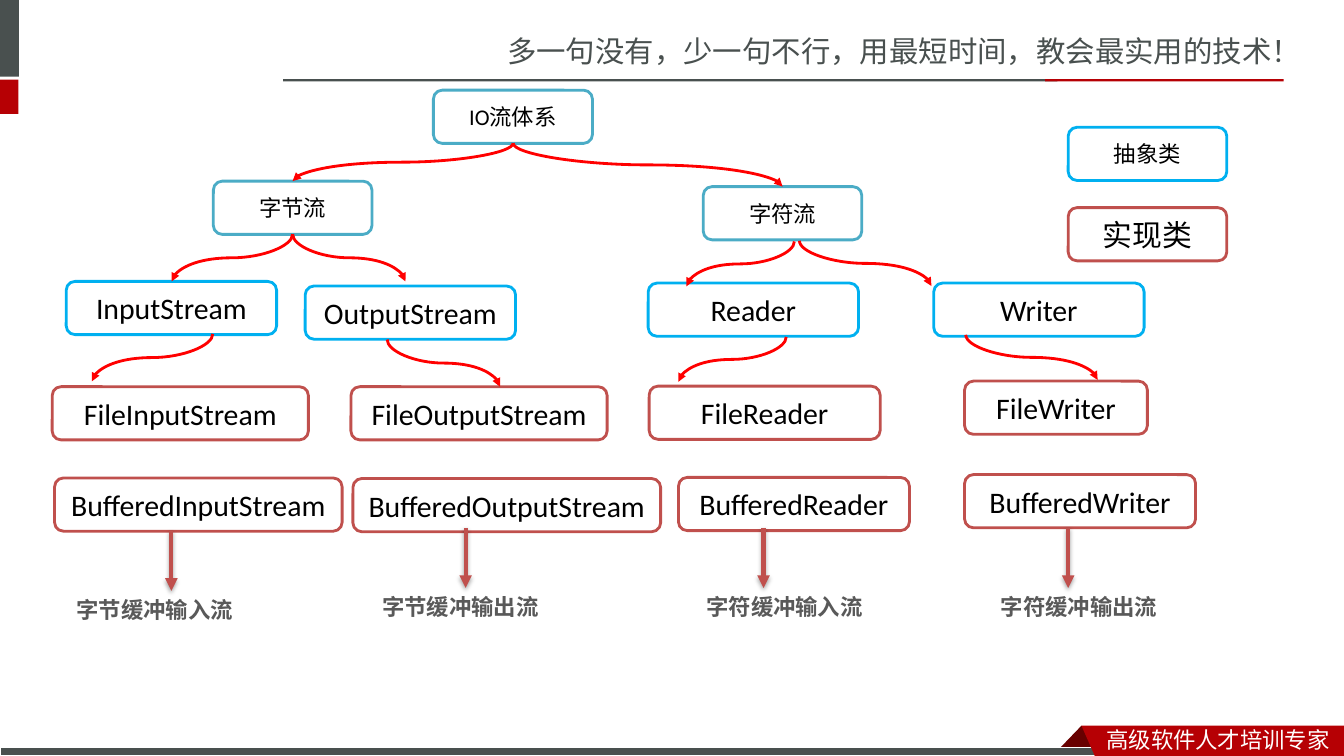
from lxml.etree import SubElement
from pptx import Presentation
from pptx.dml.color import RGBColor
from pptx.enum.shapes import MSO_CONNECTOR, MSO_SHAPE
from pptx.enum.text import MSO_ANCHOR, PP_ALIGN
from pptx.oxml.ns import qn
from pptx.util import Pt

GREY = RGBColor(0x49, 0x50, 0x4F)
CRIMSON = RGBColor(0xB6, 0x00, 0x04)
MAROON = RGBColor(0x68, 0x00, 0x00)
WHITE = RGBColor(0xFF, 0xFF, 0xFF)
BLACK = RGBColor(0x00, 0x00, 0x00)
TEAL = RGBColor(0x4B, 0xAC, 0xC6)
SKY = RGBColor(0x00, 0xB0, 0xF0)
BRICK = RGBColor(0xC0, 0x50, 0x4D)
RED = RGBColor(0xFF, 0x00, 0x00)
NOTE_GREY = RGBColor(0x59, 0x59, 0x59)

LATIN = "Calibri"
CHINESE = "Noto Sans CJK SC"
CHINESE_BOLD = "Noto Sans CJK JP"
SMALL, LARGE = 16, 21.3
BOX_HEIGHT = 38


def write(frame, text, size=SMALL, color=BLACK, latin=LATIN, asian=CHINESE,
          bold=False, align=PP_ALIGN.LEFT, anchor=MSO_ANCHOR.TOP, inset=7.2):
    frame.word_wrap = True
    frame.vertical_anchor = anchor
    frame.margin_left, frame.margin_right = Pt(inset), Pt(0)
    frame.margin_top = frame.margin_bottom = Pt(3.6)
    para = frame.paragraphs[0]
    para.alignment = align
    span = para.add_run()
    span.text = text
    span.font.size = Pt(size)
    span.font.bold = bold
    span.font.name = latin
    span.font.color.rgb = color
    SubElement(span.font._element, qn("a:ea"), typeface=asian)


class Page:
    def __init__(self, deck):
        self.slide = deck.slides.add_slide(deck.slide_layouts[5])
        self.shapes = self.slide.shapes

    def title(self, text, left, top, width, height, **style):
        title = self.shapes.title
        title.left, title.top = Pt(left), Pt(top)
        title.width, title.height = Pt(width), Pt(height)
        write(title.text_frame, text, **style)

    def paint(self, shape, fill, line=None, weight=2):
        shape.shadow.inherit = False
        shape.fill.solid()
        shape.fill.fore_color.rgb = fill
        if line is None:
            shape.line.fill.background()
        else:
            shape.line.color.rgb = line
            shape.line.width = Pt(weight)

    def bar(self, left, top, width, height, fill, **outline):
        bar = self.shapes.add_shape(MSO_SHAPE.RECTANGLE, Pt(left), Pt(top),
                                    Pt(width), Pt(height))
        self.paint(bar, fill, **outline)

    def polygon(self, points, fill):
        start, *rest = [(Pt(x), Pt(y)) for x, y in points]
        builder = self.shapes.build_freeform(*start)
        builder.add_line_segments(rest, close=True)
        self.paint(builder.convert_to_shape(), fill)

    def box(self, text, left, top, width, line, size=LARGE):
        box = self.shapes.add_shape(MSO_SHAPE.ROUNDED_RECTANGLE, Pt(left), Pt(top),
                                    Pt(width), Pt(BOX_HEIGHT))
        self.paint(box, WHITE, line)
        write(box.text_frame, text, size=size, align=PP_ALIGN.CENTER,
              anchor=MSO_ANCHOR.MIDDLE, inset=0)

    def label(self, text, left, top, width, height, **style):
        label = self.shapes.add_textbox(Pt(left), Pt(top), Pt(width), Pt(height))
        write(label.text_frame, text, **style)

    def connector(self, kind, x1, y1, x2, y2, color, weight):
        connector = self.shapes.add_connector(kind, Pt(x1), Pt(y1), Pt(x2), Pt(y2))
        connector.line.color.rgb = color
        connector.line.width = Pt(weight)
        SubElement(connector.line._get_or_add_ln(), qn("a:tailEnd"), type="triangle")
        properties = connector._element.spPr
        return properties, SubElement(properties, qn("a:effectLst"))

    def curve(self, x1, y1, x2, y2):
        """A curve that leaves and arrives vertically: a turned horizontal one."""
        middle_x, middle_y = (x1 + x2) / 2, (y1 + y2) / 2
        half_width, half_height = (y2 - y1) / 2, abs(x2 - x1) / 2
        side = 1 if x2 > x1 else -1
        properties, _ = self.connector(
            MSO_CONNECTOR.CURVE,
            middle_x + side * half_width, middle_y - half_height,
            middle_x - side * half_width, middle_y + half_height, RED, 2)
        turn = 270 if side > 0 else 90
        properties.get_or_add_xfrm().set("rot", str(turn * 60000))

    def down_arrow(self, x, top, bottom):
        _, effects = self.connector(MSO_CONNECTOR.STRAIGHT, x, top, x, bottom, BRICK, 3)
        shadow = SubElement(effects, qn("a:outerShdw"), blurRad=str(Pt(3.1)),
                            dist=str(Pt(1.8)), dir="5400000", rotWithShape="0")
        black = SubElement(shadow, qn("a:srgbClr"), val="000000")
        SubElement(black, qn("a:alpha"), val="35000")


deck = Presentation()
deck.slide_width, deck.slide_height = Pt(960), Pt(540)
page = Page(deck)

# Header
page.title("多一句没有，少一句不行，用最短时间，教会最实用的技术！", 355, 20, 605, 34,
           size=21, color=GREY, latin=CHINESE)
page.bar(0, 0, 13.5, 54.7, GREY)
page.bar(0, 56.9, 13.2, 24.5, CRIMSON)
page.bar(202.3, 56.6, 553, 1.6, GREY)
page.bar(746.6, 56.6, 170.4, 1.6, CRIMSON)

# Footer ribbon
page.polygon([(772.5, 518.4), (788.4, 534.5), (757, 534.5)], MAROON)
page.bar(0, 533.7, 791, 6.3, GREY, line=WHITE, weight=0.75)
page.polygon([(772.5, 518.4), (960, 518.4), (960, 540), (782, 540)], CRIMSON)
page.label("高级软件人才培训专家", 783.2, 515, 176.8, 26.6, color=WHITE, latin=CHINESE)

# Root, stream kinds and legend
page.box("IO流体系", 309.6, 64.4, 113.6, TEAL, SMALL)
page.box("字节流", 152.4, 129.4, 113.3, TEAL, SMALL)
page.box("字符流", 502.3, 133.3, 113.3, TEAL, SMALL)
page.box("抽象类", 763, 90.9, 113.3, SKY, SMALL)
page.box("实现类", 763, 148.3, 113.3, BRICK)

# Abstract classes
for name, left, top in [("InputStream", 47.3, 201), ("OutputStream", 218, 204.3),
                        ("Reader", 463, 202.2), ("Writer", 667, 202.2)]:
    page.box(name, left, top, 150.3, SKY)

# Implementing classes
for name, left, top, width in [
        ("FileInputStream", 37.3, 276.2, 183), ("FileOutputStream", 250.7, 276.2, 183),
        ("FileReader", 463.7, 275.8, 165), ("FileWriter", 689, 272.2, 130.6),
        ("BufferedInputStream", 39, 341.4, 205.4),
        ("BufferedOutputStream", 252.1, 341.8, 219.8),
        ("BufferedReader", 484.6, 341, 165), ("BufferedWriter", 689, 339, 165)]:
    page.box(name, left, top, width, BRICK)

# Inheritance curves
for ends in [(366.5, 102.3, 209, 129.4), (366.5, 102.3, 559, 133.3),
             (209, 167.3, 122.6, 201), (209, 167.3, 289.6, 201),
             (567.4, 172.5, 490.3, 204.6), (571, 172, 665.3, 204.3),
             (152, 238.5, 65.6, 272.4), (276.5, 242.5, 357.1, 276.2),
             (561.6, 240.7, 484.5, 272.8), (689.8, 239.2, 784, 271.4)]:
    page.curve(*ends)

# Buffered stream notes
for note, left, top, arrow_x, arrow_top in [
        ("字节缓冲输入流", 47.5, 422, 122.4, 379), ("字节缓冲输出流", 265.9, 420, 332.6, 377),
        ("字符缓冲输入流", 497.5, 420, 545.4, 377), ("字符缓冲输出流", 707.8, 420.4, 763, 377)]:
    page.label(note, left, top, 151, 26.6, color=NOTE_GREY, bold=True,
               latin=CHINESE_BOLD, asian=CHINESE_BOLD)
    page.down_arrow(arrow_x, arrow_top, arrow_top + 43)

deck.save("out.pptx")
